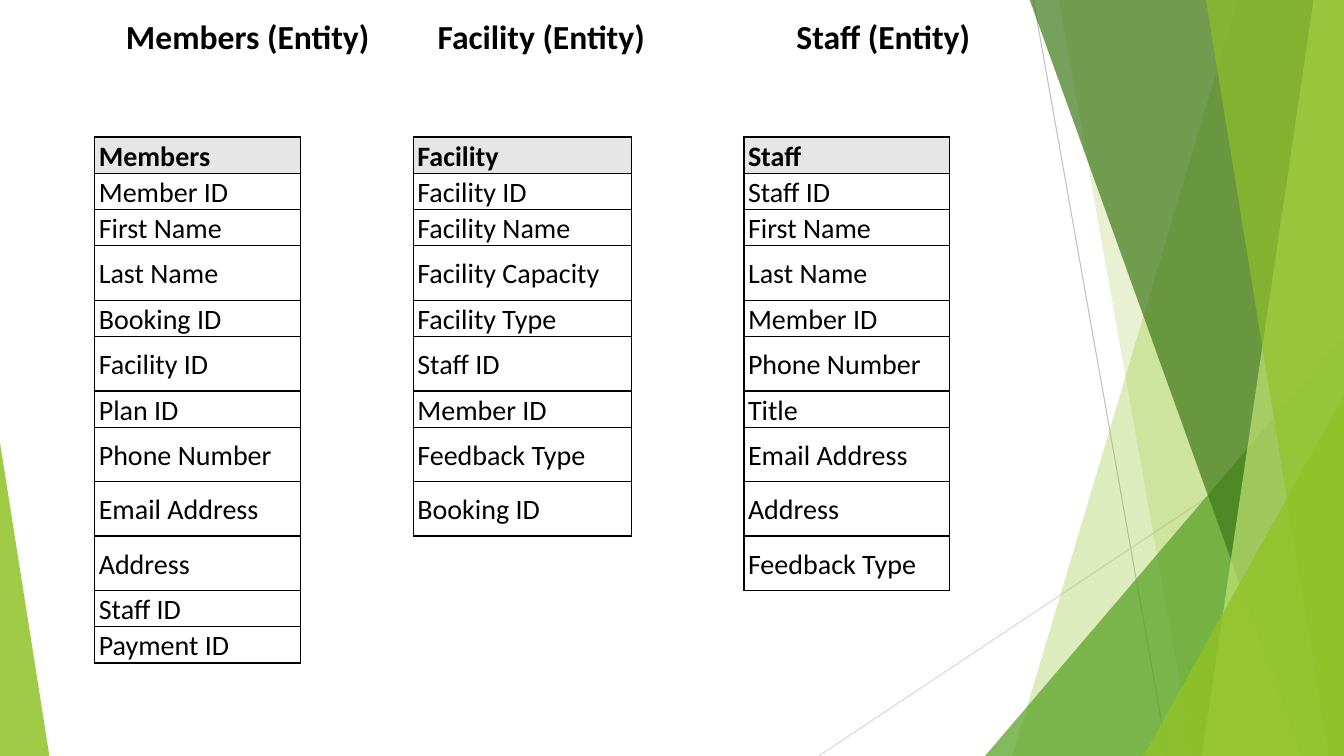
import pptx
import pptx.dml.color
import pptx.enum.shapes
import pptx.enum.text
import pptx.oxml
import pptx.oxml.ns
import pptx.util
from lxml import etree

Inches = pptx.util.Inches
Pt = pptx.util.Pt
qn = pptx.oxml.ns.qn
RGBColor = pptx.dml.color.RGBColor

COLORS = {
    "text": "000000", "header": "E7E6E6", "border": "000000",
    "line": "BFBFBF", "pale line": "D9D9D9",
    "green": "90C226", "leaf": "54A021", "dark": "3F7819", "lime": "C0E474",
}
FONT = "Calibri"
TOP, RIGHT, BOTTOM = -0.01, 13.33, 7.5

deck = pptx.Presentation()
deck.slide_width, deck.slide_height = Inches(RIGHT), Inches(BOTTOM)
page = deck.slides.add_slide(deck.slide_layouts[6])


def style_run(span, size, bold):
    span.font.name = FONT
    span.font.size = Pt(size)
    span.font.bold = bold
    span.font.color.rgb = RGBColor.from_string(COLORS["text"])


def set_border(cell, side, visible):
    """Give one side (L, R, T or B) a thin black line, or none."""
    border = etree.SubElement(cell._tc.get_or_add_tcPr(), qn(f"a:ln{side}"), w=str(Pt(1)))
    if visible:
        fill = etree.SubElement(border, qn("a:solidFill"))
        etree.SubElement(fill, qn("a:srgbClr"), val=COLORS["border"])
    else:
        etree.SubElement(border, qn("a:noFill"))


# Thin background lines
for x1, y1, x2, y2, color in [
    (10.25, 0, 11.58, BOTTOM, "line"),
    (RIGHT, 4.03, 8.12, BOTTOM, "pale line"),
]:
    line = page.shapes.add_connector(
        pptx.enum.shapes.MSO_CONNECTOR.STRAIGHT,
        Inches(x1), Inches(y1), Inches(x2), Inches(y2))
    line.line.color.rgb = RGBColor.from_string(COLORS[color])
    line.line.width = Pt(0.75)
    etree.SubElement(line._element.spPr, qn("a:effectLst"))

# Translucent facets, back to front:
# a band is (top x, bottom x) and reaches the right edge;
# a triangle is (left, top, width, apex position)
facets = [
    ("band", (12.28, 10.04), "green", 30),
    ("band", (10.5, 11.83), "green", 20),
    ("triangle", (9.77, 3.33, 3.56, 1), "leaf", 72),
    ("band", (10.21, 12.91), "dark", 70),
    ("band", (13.03, 11.92), "lime", 70),
    ("band", (11.96, 13.18), "green", 65),
    ("triangle", (11.34, 3.93, 1.99, 1), "green", 80),
    ("triangle", (0, 4.39, 0.49, 0), "green", 85),
]
for kind, geometry, color, opacity in facets:
    if kind == "band":
        top_x, bottom_x = geometry
        outline = page.shapes.build_freeform(Inches(top_x), Inches(TOP))
        corners = [(RIGHT, TOP), (RIGHT, BOTTOM), (bottom_x, BOTTOM)]
        outline.add_line_segments([(Inches(x), Inches(y)) for x, y in corners], close=True)
        facet = outline.convert_to_shape()
    else:
        left, top, width, apex = geometry
        facet = page.shapes.add_shape(
            pptx.enum.shapes.MSO_SHAPE.ISOSCELES_TRIANGLE,
            Inches(left), Inches(top), Inches(width), Inches(BOTTOM - top))
        facet.adjustments[0] = apex
    facet.shadow.inherit = False
    facet.line.fill.background()
    facet.fill.solid()
    facet.fill.fore_color.rgb = RGBColor.from_string(COLORS[color])
    tint = facet._element.spPr.find(qn("a:solidFill")).find(qn("a:srgbClr"))
    etree.SubElement(tint, qn("a:alpha"), val=str(opacity * 1000))

# Title: three headings on tab stops
title = page.shapes.add_textbox(Inches(0.74), Inches(0.11), Inches(9.4), Inches(0.78))
title.text_frame.word_wrap = True
title.text_frame.margin_left = Inches(0.51)
para = title.text_frame.paragraphs[0]
para.text = "Members (Entity)\tFacility (Entity)\tStaff (Entity)"
style_run(para.runs[0], 24, True)
tabs = etree.SubElement(para._p.get_or_add_pPr(), qn("a:tabLst"))
for stop in (3.09, 6.65):
    etree.SubElement(tabs, qn("a:tab"), pos=str(Inches(stop)), algn="l")

# Entity table: three lists parted by empty columns
entities = [
    ["Members", "Member ID", "First Name", "Last Name", "Booking ID", "Facility ID",
     "Plan ID", "Phone Number", "Email Address", "Address", "Staff ID", "Payment ID"],
    [],
    ["Facility", "Facility ID", "Facility Name", "Facility Capacity", "Facility Type",
     "Staff ID", "Member ID", "Feedback Type", "Booking ID"],
    [],
    ["Staff", "Staff ID", "First Name", "Last Name", "Member ID", "Phone Number",
     "Title", "Email Address", "Address", "Feedback Type"],
]
column_widths = [2.04, 1.12, 2.16, 1.12, 2.04]
tall_rows = {3, 5, 7, 8, 9}
row_heights = [0.54 if row in tall_rows else 0.36 for row in range(len(entities[0]))]
filled = {(row, column) for column, names in enumerate(entities) for row in range(len(names))}
neighbours = {"L": (0, -1), "R": (0, 1), "T": (-1, 0), "B": (1, 0)}

table = page.shapes.add_table(
    len(row_heights), len(column_widths), Inches(0.94), Inches(1.36),
    Inches(sum(column_widths)), Inches(sum(row_heights))).table
table.first_row = False
table.horz_banding = False
for column, width in enumerate(column_widths):
    table.columns[column].width = Inches(width)
for row, height in enumerate(row_heights):
    table.rows[row].height = Inches(height)
    for column, names in enumerate(entities):
        cell = table.cell(row, column)
        cell.margin_left = cell.margin_right = Inches(0.04)
        cell.margin_top = cell.margin_bottom = 0
        cell.vertical_anchor = pptx.enum.text.MSO_ANCHOR.MIDDLE
        for side, (down, across) in neighbours.items():
            beside = (row + down, column + across)
            set_border(cell, side, bool({(row, column), beside} & filled))
        if row == 0 and names:
            cell.fill.solid()
            cell.fill.fore_color.rgb = RGBColor.from_string(COLORS["header"])
        else:
            cell.fill.background()
        if (row, column) in filled:
            para = cell.text_frame.paragraphs[0]
            para.text = names[row]
            para.alignment = pptx.enum.text.PP_ALIGN.JUSTIFY
            para.line_spacing = 1.07
            style_run(para.runs[0], 20, row == 0)

deck.save("out.pptx")
